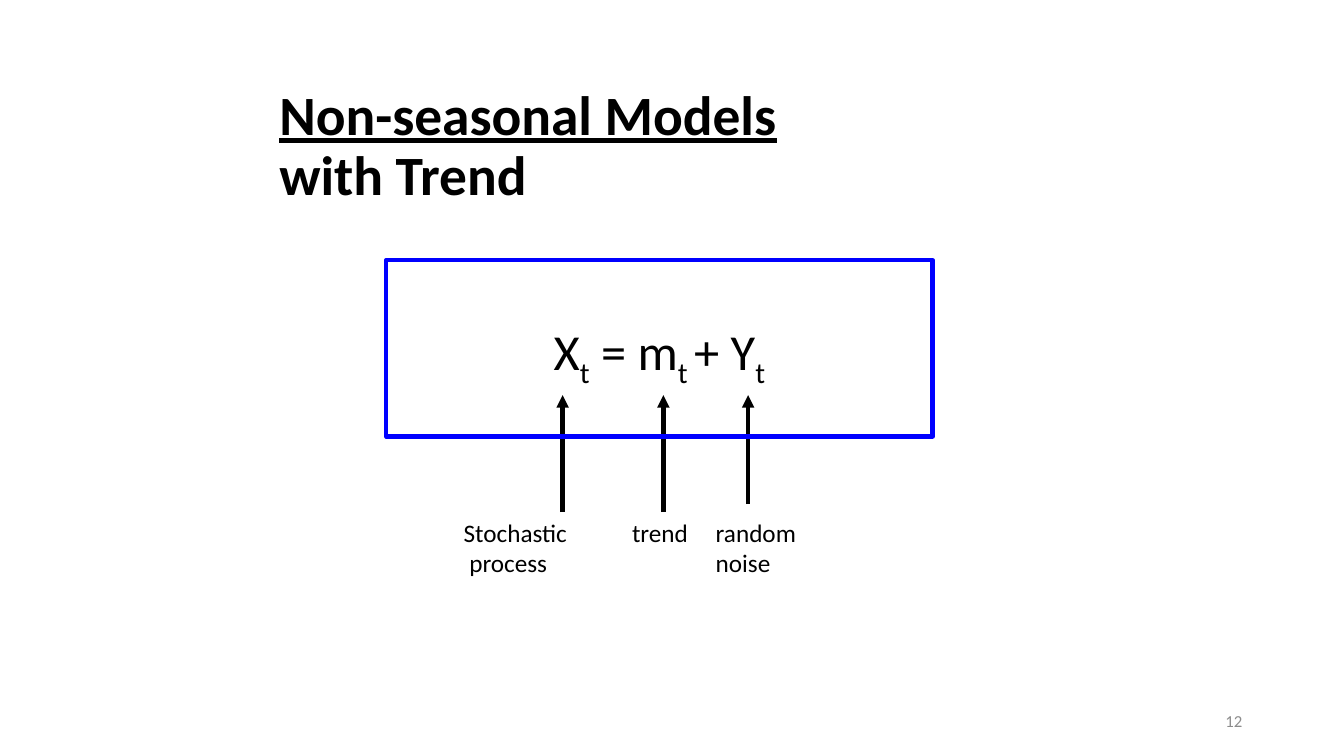
"""Build the slide on non-seasonal models with trend."""
from dataclasses import dataclass

import pptx
import pptx.dml.color
import pptx.enum.shapes
import pptx.enum.text
import pptx.oxml.ns
import pptx.util
from lxml import etree
from pptx.util import Inches


@dataclass(frozen=True)
class Theme:
    font: str = "Calibri"
    black: str = "000000"
    blue: str = "0000FF"
    gray: str = "8C8C8C"
    title: float = 39.6
    formula: float = 36
    label: float = 18
    number: float = 12
    line: float = 3


THEME = Theme()
ALIGN = pptx.enum.text.PP_ALIGN
ANCHOR = pptx.enum.text.MSO_ANCHOR


def rgb(value):
    return pptx.dml.color.RGBColor.from_string(value)


def add_xml(parent, tag, **attributes):
    return etree.SubElement(parent, pptx.oxml.ns.qn(tag), attributes)


def style(p, size, color=THEME.black, align=ALIGN.LEFT):
    p.alignment = align
    p.font.name = THEME.font
    p.font.size = pptx.util.Pt(size)
    p.font.color.rgb = rgb(color)


def add_title(s, heading, rest):
    sp = s.shapes.title
    sp.left, sp.top = Inches(2.67), Inches(0.92)
    sp.width, sp.height = Inches(8.42), Inches(1.08)
    tf = sp.text_frame
    tf.vertical_anchor = ANCHOR.MIDDLE
    tf.auto_size = pptx.enum.text.MSO_AUTO_SIZE.NONE
    p = tf.paragraphs[0]
    p.line_spacing = 0.9
    style(p, THEME.title)
    p.font.bold = True
    r = p.add_run()
    r.text = heading
    r.font.underline = True
    p.add_line_break()
    p.add_run().text = rest


def add_box(s, x, y, w, h):
    tf = s.shapes.add_textbox(Inches(x), Inches(y), Inches(w), Inches(h)).text_frame
    tf.word_wrap = True
    return tf


def add_label(s, text, x, w, h):
    p = add_box(s, x, 5.08, w, h).paragraphs[0]
    p.text = text
    style(p, THEME.label)


def add_arrow(s, x, start):
    kind = pptx.enum.shapes.MSO_CONNECTOR.STRAIGHT
    cxn = s.shapes.add_connector(kind, Inches(x), Inches(start), Inches(x), Inches(3.92))
    cxn.line.color.rgb = rgb(THEME.black)
    cxn.line.width = pptx.util.Pt(THEME.line)
    add_xml(cxn.line._get_or_add_ln(), "a:tailEnd", type="triangle")
    add_xml(cxn._element.spPr, "a:effectLst")


def add_formula(s, terms):
    p = add_box(s, 3.58, 3.13, 5.92, 0.7).paragraphs[0]
    style(p, THEME.formula, align=ALIGN.CENTER)
    for base, subscript in terms:
        p.add_run().text = base
        r = p.add_run()
        r.text = subscript
        r._r.get_or_add_rPr().set("baseline", "-25000")


def add_frame(s):
    kind = pptx.enum.shapes.MSO_SHAPE.RECTANGLE
    sp = s.shapes.add_shape(kind, Inches(3.83), Inches(2.58), Inches(5.42), Inches(1.75))
    sp.shadow.inherit = False
    sp.fill.background()
    sp.line.color.rgb = rgb(THEME.blue)
    sp.line.width = pptx.util.Pt(THEME.line)


def add_slide_number(s, number):
    tf = add_box(s, 9.42, 6.95, 3, 0.4)
    tf.vertical_anchor = ANCHOR.MIDDLE
    p = tf.paragraphs[0]
    p.text = number
    style(p, THEME.number, THEME.gray, ALIGN.RIGHT)


def main():
    prs = pptx.Presentation()
    prs.slide_width, prs.slide_height = Inches(13.33), Inches(7.5)
    s = prs.slides.add_slide(prs.slide_layouts[5])
    add_title(s, "Non-seasonal Models", "with Trend")
    for text, x, w, h in (
        ("trend", 6.17, 0.92, 0.4),
        ("Stochastic\v process", 4.5, 1.67, 0.71),
        ("random noise", 7, 1.08, 0.71),
    ):
        add_label(s, text, x, w, h)
    for x, start in ((5.58, 5.08), (6.58, 5.08), (7.42, 5)):
        add_arrow(s, x, start)
    add_formula(s, (("X", "t"), (" = m", "t "), ("+ Y", "t")))
    add_frame(s)
    add_slide_number(s, "12")
    prs.save("out.pptx")


if __name__ == "__main__":
    main()
